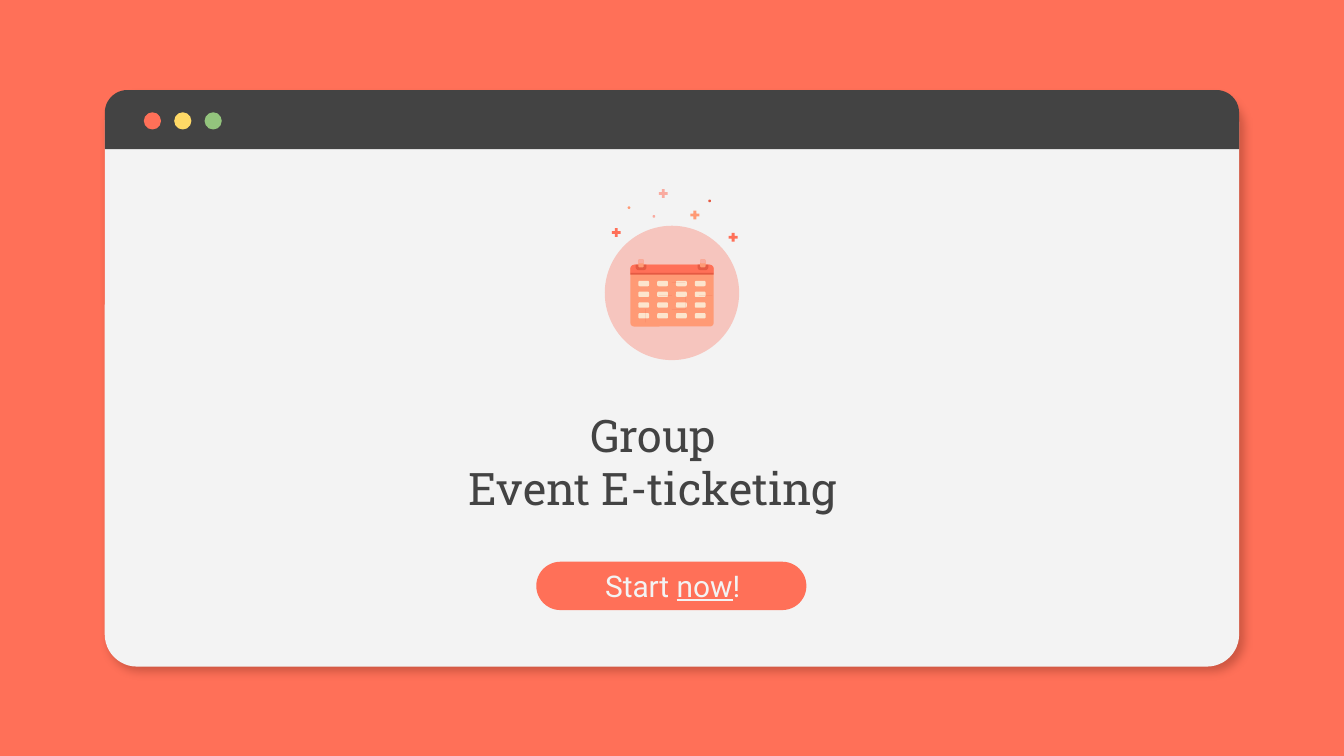
from pptx import Presentation
from pptx.dml.color import RGBColor
from pptx.enum.shapes import MSO_SHAPE as Shape
from pptx.enum.text import MSO_ANCHOR as Anchor, MSO_AUTO_SIZE as AutoSize, PP_ALIGN as Align
from pptx.oxml import parse_xml
from pptx.oxml.ns import nsdecls
from pptx.util import Inches, Pt

CORAL, PEACH, PINK, RED = "FF7058", "FF9A75", "F9ABA0", "E55A43"
DARK, LIGHT, CREAM = "434343", "F3F3F3", "FCE5CD"

presentation = Presentation()
presentation.slide_width = Inches(10)
presentation.slide_height = Inches(5.625)
slide = presentation.slides.add_slide(presentation.slide_layouts[0])
unit = presentation.slide_width / 100  # square grid, 100 columns wide


def paint(fill, color):
    fill.solid()
    fill.fore_color.rgb = RGBColor.from_string(color)


def add(kind, left, top, width, height, color, *adjustments):
    box = [round(value * unit) for value in (left, top, width, height)]
    shape = slide.shapes.add_shape(kind, *box)
    for index, value in enumerate(adjustments):
        shape.adjustments[index] = value
    paint(shape.fill, color)
    shape.line.fill.background()
    shape.shadow.inherit = False
    return shape


paint(slide.background.fill, CORAL)

# Browser window with its shadow
window = add(Shape.ROUNDED_RECTANGLE, 7.8, 6.8, 84.4, 42.8, LIGHT, 0.056)
properties = window._element.spPr
properties.remove(properties.find("{*}effectLst"))
properties.append(parse_xml(
    f'<a:effectLst {nsdecls("a")}><a:outerShdw blurRad="57150" dist="47625" '
    'dir="2940000" algn="bl" rotWithShape="0"><a:srgbClr val="963A2A">'
    '<a:alpha val="47000"/></a:srgbClr></a:outerShdw></a:effectLst>'))
add(Shape.ROUND_2_SAME_RECTANGLE, 7.8, 6.7, 84.4, 4.4, DARK, 0.383, 0)
for index, color in enumerate((CORAL, "FFD966", "93C47D")):
    add(Shape.OVAL, 10.7 + 2.26 * index, 8.36, 1.28, 1.28, color)

# Title
title = slide.shapes.title
title.left, title.top, title.width, title.height = (
    round(value * unit) for value in (21.8, 29.4, 54.4, 9.8))
frame = title.text_frame
frame.text = "Group \vEvent E-ticketing "
frame.vertical_anchor = Anchor.MIDDLE
title_font = (24, "Roboto Slab", DARK)

# Button with its label
add(Shape.ROUNDED_RECTANGLE, 39.9, 41.8, 20.1, 3.6, CORAL, 0.5)
label = slide.placeholders[1]
label.left, label.top, label.width, label.height = (
    round(value * unit) for value in (44, 42.2, 12.1, 2.6))
paint(label.fill, CORAL)
label.text_frame.vertical_anchor = Anchor.TOP
paragraph = label.text_frame.paragraphs[0]
for text in ("Start ", "now", "!"):
    run = paragraph.add_run()
    run.text = text
    run.font.underline = text == "now"
paragraph.space_after = Pt(16)

for placeholder, inset, (size, name, color) in (
        (title, 0.1, title_font), (label, 0, (16, "Roboto", LIGHT))):
    slide.shapes._spTree.append(placeholder._element)  # in front of the window
    frame = placeholder.text_frame
    frame.word_wrap = True
    frame.auto_size = AutoSize.NONE
    frame.margin_left = frame.margin_right = Inches(0.1)
    frame.margin_top = frame.margin_bottom = Inches(inset)
    frame.paragraphs[0].alignment = Align.CENTER
    frame.paragraphs[0].space_before = Pt(0)
    for run in frame.paragraphs[0].runs:
        run.font.size, run.font.name = Pt(size), name
        run.font.color.rgb = RGBColor.from_string(color)

# Calendar on its disc
add(Shape.OVAL, 45, 16.8, 10, 10, "F6C5BE")
add(Shape.ROUNDED_RECTANGLE, 46.9, 19.7, 6.2, 4.6, PEACH, 0.06)
add(Shape.ROUND_2_SAME_RECTANGLE, 46.9, 19.7, 6.2, 0.6, CORAL, 0.5, 0)
for left in (47.3, 51.9):
    add(Shape.ROUND_2_SAME_RECTANGLE, left, 19.7, 0.8, 0.4, RED, 0, 0.5)
    add(Shape.ROUNDED_RECTANGLE, left + 0.2, 19.3, 0.4, 0.6, PEACH, 0.25)
    add(Shape.ROUNDED_RECTANGLE, left + 0.2, 19.3, 0.4, 0.3, PINK, 0.3)
add(Shape.RECTANGLE, 46.9, 20.3, 6.2, 0.15, RED)

# Days, then ticks on some of them
day_left, day_top, column_step, row_step = 47.5, 20.9, 1.4, 0.8
for row in range(4):
    for column in range(4):
        add(Shape.ROUNDED_RECTANGLE, day_left + column * column_step,
            day_top + row * row_step, 0.8, 0.4, CREAM, 0.25)

tick = [(0.75, 0), (0.45, 0.3), (0.3, 0.18), (0.15, 0.2), (0.05, 0.35),
        (0.3, 0.6), (0.45, 0.6), (0.85, 0.2), (0.85, 0.05)]
for column, row in ((3, 1), (1, 1), (2, 2), (0, 3), (2, 0)):
    left = day_left + column * column_step - 0.05
    top = day_top + row * row_step - 0.1
    points = [(left + x, top + y) for x, y in tick]
    builder = slide.shapes.build_freeform(*points[0], scale=unit)
    builder.add_line_segments(points[1:], close=True)
    mark = builder.convert_to_shape()
    paint(mark.fill, RED)
    mark.line.fill.background()
    mark.shadow.inherit = False

# Sparkles
for left, top, color in ((45.4, 16.85, CORAL), (54.1, 17.2, CORAL),
                         (51.25, 15.55, PEACH), (48.9, 13.95, PINK)):
    add(Shape.MATH_PLUS, left, top, 0.9, 0.9, color, 0.235)
for left, top, color in ((52.7, 14.85, RED), (48.55, 16, PINK), (46.7, 15.35, PEACH)):
    add(Shape.OVAL, left, top, 0.2, 0.2, color)

presentation.save("out.pptx")
